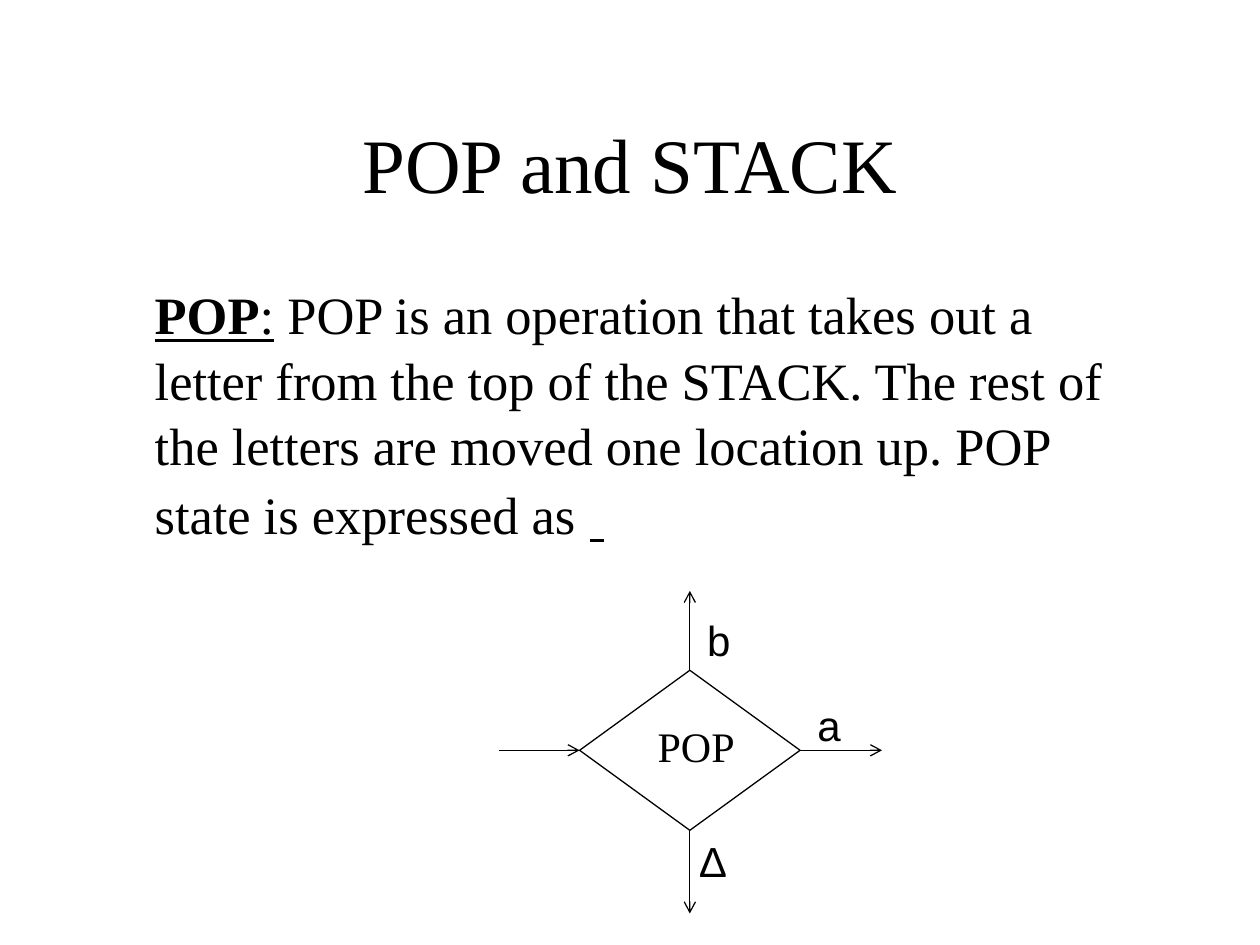
from lxml import etree
from pptx import Presentation
from pptx import util as u
from pptx.dml.color import RGBColor
from pptx.enum import shapes, text
from pptx.oxml.ns import qn

CELL = u.Inches(0.1)  # the slide is a grid of 100 columns by 75 rows
SERIF, SANS = "Times New Roman", "Arial"
BLACK = "000000"


def colour(hex_string):
    return RGBColor.from_string(hex_string)


def cells(*counts):
    return [round(count * CELL) for count in counts]


def add_run(paragraph, words, size, face, bold=False, underline=False):
    run = paragraph.add_run()
    run.text = words
    font = run.font
    font.size, font.name = u.Pt(size), face
    font.bold, font.underline = bold, underline
    font.color.rgb = colour(BLACK)


def fill_title(slide, box):
    title = slide.shapes.title
    title.left, title.top, title.width, title.height = cells(*box)
    frame = title.text_frame
    frame.vertical_anchor = text.MSO_ANCHOR.MIDDLE
    heading = frame.paragraphs[0]
    heading.alignment = text.PP_ALIGN.CENTER
    add_run(heading, "POP and STACK", 44, SERIF)


def add_definition(slide, box):
    frame = slide.shapes.add_textbox(*cells(*box)).text_frame
    frame.word_wrap = True
    definition = frame.paragraphs[0]
    definition.line_spacing = 1.04
    definition._p.get_or_add_pPr().set("marL", str(u.Inches(0.38)))
    add_run(definition, "POP", 30, SERIF, bold=True, underline=True)
    add_run(definition, ":", 30, SERIF, underline=True)
    add_run(definition, " POP is an operation that takes out a letter from the top "
            "of the STACK. The rest of the letters are moved one location up. "
            "POP state is expressed as", 30, SERIF)
    add_run(definition, " ", 32, SERIF)
    add_run(definition, " ", 32, SERIF, underline=True)


def add_label(slide, box, words, face):
    frame = slide.shapes.add_textbox(*cells(*box)).text_frame
    frame.word_wrap = face == SANS
    label = frame.paragraphs[0]
    label.alignment = text.PP_ALIGN.CENTER
    add_run(label, words, 24, face)


def add_arrow(slide, start, end):
    arrow = slide.shapes.add_connector(
        shapes.MSO_CONNECTOR.STRAIGHT, *cells(*start, *end))
    arrow.line.color.rgb = colour(BLACK)
    arrow.line.width = u.Pt(0.75)
    etree.SubElement(arrow.line._get_or_add_ln(), qn("a:tailEnd"), type="arrow")
    etree.SubElement(arrow._element.spPr, qn("a:effectLst"))
    return arrow


def add_pop_state(slide, box):
    """Decision diamond with one arrow in and three labelled arrows out."""
    left, top, width, height = box
    right, bottom = left + width, top + height
    d_left, d_top, d_width, d_height = left + 6.4, top + 6.3, 17.5, 12.7
    d_right, d_bottom = d_left + d_width, d_top + d_height
    centre, middle = d_left + d_width / 2, d_top + d_height / 2

    state = slide.shapes.add_shape(
        shapes.MSO_SHAPE.FLOWCHART_DECISION,
        *cells(d_left, d_top, d_width, d_height))
    state.shadow.inherit = False
    state.fill.background()
    state.line.color.rgb = colour(BLACK)
    state.line.width = u.Pt(0.75)
    add_label(slide, (left + 11.6, top + 9.8, 8.1, 5), "POP", SERIF)

    entry = add_arrow(slide, (left, middle), (d_left, middle))
    entry.end_connect(state, 1)

    exits = [
        (0, (centre, d_top), (centre, top), "b", (13.7, 1.4)),
        (2, (centre, d_bottom), (centre, bottom), "∆ ", (13.7, 18.9)),
        (3, (d_right, middle), (right, middle), "a ", (22.9, 8.1)),
    ]
    for site, start, end, letter, (column, row) in exits:
        add_arrow(slide, start, end).begin_connect(state, site)
        add_label(slide, (left + column, top + row, 7.5, 5), letter, SANS)


def main():
    deck = Presentation()
    deck.slide_width, deck.slide_height = cells(100, 75)
    slide = deck.slides.add_slide(deck.slide_layouts[5])
    fill_title(slide, (7.5, 6.7, 85, 12.5))
    add_definition(slide, (7.5, 21.7, 85, 45))
    add_pop_state(slide, (39.6, 46.9, 30.4, 25.6))
    deck.save("out.pptx")


if __name__ == "__main__":
    main()
